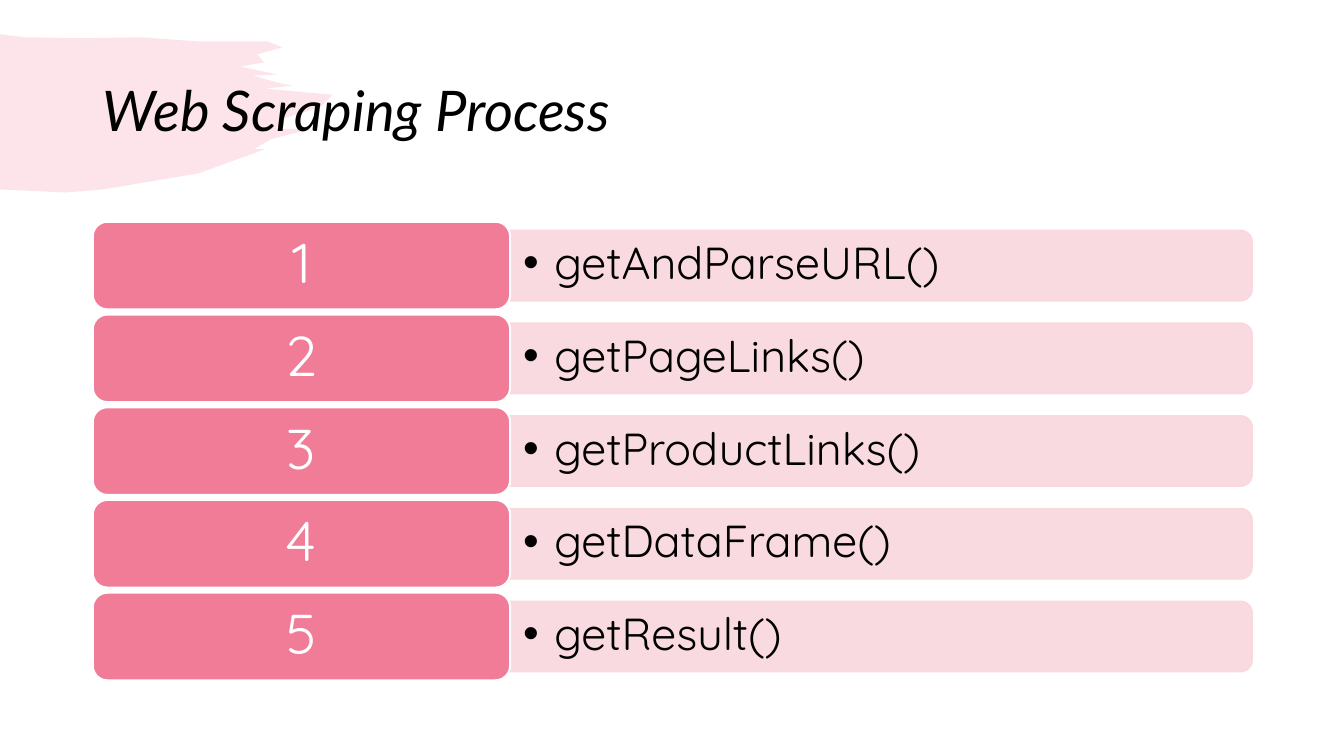
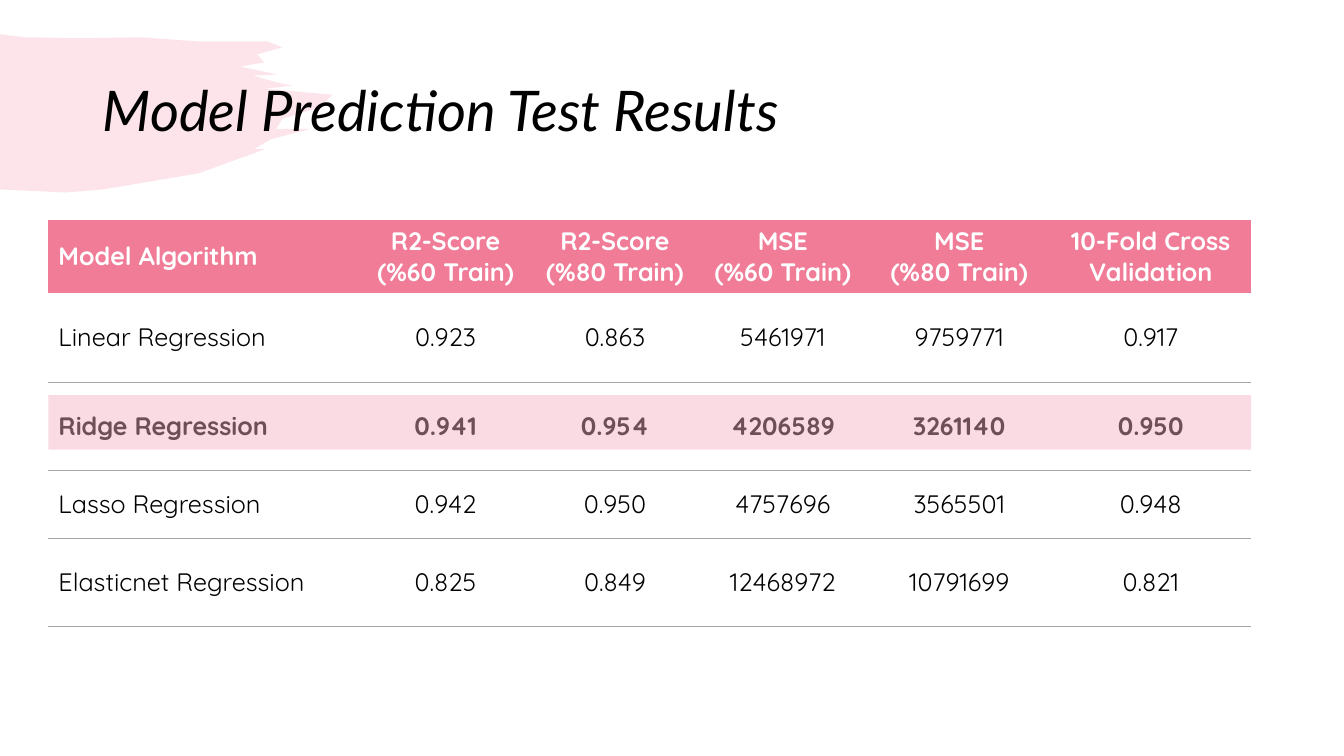
import pptx
import pptx.util
import pptx.dml.color
import pptx.enum.shapes
import pptx.enum.text
import pptx.oxml.ns
import lxml.etree

Inches, Pt = pptx.util.Inches, pptx.util.Pt
Color = pptx.dml.color.RGBColor
Shapes = pptx.enum.shapes.MSO_SHAPE
Align = pptx.enum.text.PP_ALIGN
Anchor = pptx.enum.text.MSO_ANCHOR
qn = pptx.oxml.ns.qn

# Content
STEPS_TITLE = "Web Scraping Process"
STEPS = ["getAndParseURL()", "getPageLinks()", "getProductLinks()",
         "getDataFrame()", "getResult()"]
RESULTS_TITLE = "Model Prediction Test Results"
RESULTS = [
    ("Model Algorithm", "R2-Score\n(%60 Train)", "R2-Score\n(%80 Train)",
     "MSE\n(%60 Train)", "MSE\n(%80 Train)", "10-Fold Cross Validation"),
    ("Linear Regression", "0.923", "0.863", "5461971", "9759771", "0.917"),
    ("Ridge Regression", "0.941", "0.954", "4206589", "3261140", "0.950"),
    ("Lasso Regression", "0.942", "0.950", "4757696", "3565501", "0.948"),
    ("Elasticnet Regression", "0.825", "0.849", "12468972", "10791699", "0.821"),
]
BEST_ROW = 2
COLUMN_WIDTHS = [3.08, 1.72, 1.64, 1.69, 1.81, 1.99]
ROW_HEIGHTS = [0.67, 0.88, 0.88, 0.67, 0.88]

# Shared look
BLACK, WHITE = Color(0, 0, 0), Color(255, 255, 255)
ROSE = Color(0xF0, 0x7C, 0x98)
BLUSH = Color(0xF9, 0xD7, 0xDD)
HIGHLIGHT = Color(0xF6, 0xB0, 0xC1)
GREY = Color(0xA6, 0xA6, 0xA6)
TITLE_FONT = {"name": "Lato", "size": Pt(40), "italic": True, "bold": False}
NUMBER_FONT = {"name": "Quicksand", "size": Pt(40)}
STEP_FONT = {"name": "Quicksand", "size": Pt(32)}
CELL_FONT = {"name": "Quicksand", "size": Pt(18)}

# Brush stroke outline: top edge, ragged right end, bottom edge
BRUSH = [
    (0, 0.34), (0.25, 0.37), (0.8, 0.38), (1.4, 0.37), (1.94, 0.41), (2.65, 0.41),
    (2.8, 0.47), (2.55, 0.54), (2.62, 0.62), (2.38, 0.66), (2.75, 0.74),
    (2.51, 0.75), (2.75, 0.82), (2.9, 0.85), (2.63, 0.88), (3.3, 0.94),
    (3.18, 1.06), (2.8, 1.18), (2.74, 1.28), (3.08, 1.28), (2.69, 1.38),
    (2.52, 1.48), (2.63, 1.48), (1.97, 1.72), (1.02, 1.88), (0.65, 1.91), (0, 1.88),
]


def style_shape(shape, fill, opacity=100, line=None, line_width=1):
    shape.shadow.inherit = False
    shape.fill.solid()
    shape.fill.fore_color.rgb = fill
    if line is None:
        shape.line.fill.background()
    else:
        shape.line.color.rgb = line
        shape.line.width = Pt(line_width)
    if opacity < 100:
        for color in shape.element.spPr.iter(qn("a:srgbClr")):
            alpha = lxml.etree.SubElement(color, qn("a:alpha"))
            alpha.set("val", str(opacity * 1000))


def write_text(frame, text, font, color, align=Align.LEFT, spacing=0.9, **extra):
    frame.text = text
    for para in frame.paragraphs:
        para.alignment = align
        para.line_spacing = spacing
        for span in para.runs:
            for name, value in {**font, **extra}.items():
                setattr(span.font, name, value)
            span.font.color.rgb = color


def set_frame(frame, side=0.1, top=0.05):
    values = {"word_wrap": True, "vertical_anchor": Anchor.MIDDLE,
              "auto_size": pptx.enum.text.MSO_AUTO_SIZE.NONE,
              "margin_left": Inches(side), "margin_right": Inches(side),
              "margin_top": Inches(top), "margin_bottom": Inches(top)}
    for name, value in values.items():
        setattr(frame, name, value)


def prepare_layout(layout, page):
    """Place the title and put the brush stroke behind it on the layout."""
    title = layout.placeholders[0]
    title.left, title.top = Inches(0.92), Inches(0.4)
    title.width, title.height = Inches(11.5), Inches(1.45)
    points = [(Inches(x), Inches(y)) for x, y in BRUSH]
    builder = page.shapes.build_freeform(*points[0])
    builder.add_line_segments(points[1:], close=True)
    brush = builder.convert_to_shape()
    style_shape(brush, ROSE, 20)
    title.element.addprevious(brush.element)


def set_title(page, text):
    frame = page.shapes.title.text_frame
    set_frame(frame)
    write_text(frame, text, TITLE_FONT, BLACK)


def add_bullet(para, indent):
    properties = para._p.get_or_add_pPr()
    properties.set("marL", str(indent))
    properties.set("indent", str(-indent))
    lxml.etree.SubElement(properties, qn("a:buFont")).set("typeface", "Arial")
    lxml.etree.SubElement(properties, qn("a:buChar")).set("char", "•")


def build_steps(page):
    set_title(page, STEPS_TITLE)
    left, top, pitch = 0.92, 2.2, 0.92
    tile_width, tile_height = 4.14, 0.87
    bar_width, bar_height = 7.36, 0.7
    bar_left = left + tile_width
    for index, step in enumerate(STEPS):
        tile_top = top + index * pitch
        middle = tile_top + tile_height / 2
        # Bar: a tall shape turned a quarter, so its round end faces right
        bar = page.shapes.add_shape(
            Shapes.ROUND_2_SAME_RECTANGLE,
            Inches(bar_left + (bar_width - bar_height) / 2),
            Inches(middle - bar_width / 2), Inches(bar_height), Inches(bar_width))
        bar.rotation = 90
        style_shape(bar, BLUSH, 90, BLUSH)
        # Function name
        label = page.shapes.add_textbox(Inches(bar_left), Inches(middle - 0.32),
                                        Inches(7.33), Inches(0.63))
        set_frame(label.text_frame, 0.13, 0.07)
        write_text(label.text_frame, step, STEP_FONT, BLACK)
        add_bullet(label.text_frame.paragraphs[0], Inches(0.31))
        # Number tile
        tile = page.shapes.add_shape(Shapes.ROUNDED_RECTANGLE, Inches(left),
                                     Inches(tile_top), Inches(tile_width),
                                     Inches(tile_height))
        style_shape(tile, ROSE, line=WHITE, line_width=1.5)
        set_frame(tile.text_frame, 0.17, 0.08)
        write_text(tile.text_frame, str(index + 1), NUMBER_FONT, WHITE, Align.CENTER)


def add_bottom_border(cell):
    border = lxml.etree.Element(qn("a:lnB"), w=str(Pt(0.25)))
    fill = lxml.etree.SubElement(border, qn("a:solidFill"))
    lxml.etree.SubElement(fill, qn("a:srgbClr")).set("val", str(GREY))
    cell._tc.get_or_add_tcPr().insert(0, border)


def build_results(page):
    set_title(page, RESULTS_TITLE)
    left, width = Inches(0.48), Inches(sum(COLUMN_WIDTHS))
    frame = page.shapes.add_table(len(RESULTS), len(COLUMN_WIDTHS), left,
                                  Inches(2.18), width, Inches(sum(ROW_HEIGHTS)))
    table = frame.table
    table.horz_banding = False
    # Style without fills or grid
    style = table._tbl.tblPr.find(qn("a:tableStyleId"))
    style.text = "{2D5ABB26-0587-4C30-8999-92F81FD0307C}"
    for column, size in zip(table.columns, COLUMN_WIDTHS):
        column.width = Inches(size)
    for row, size in zip(table.rows, ROW_HEIGHTS):
        row.height = Inches(size)
    for r, values in enumerate(RESULTS):
        for c, value in enumerate(values):
            cell = table.cell(r, c)
            cell.vertical_anchor = Anchor.MIDDLE
            write_text(cell.text_frame, value, CELL_FONT, BLACK if r else WHITE,
                       Align.CENTER if c else Align.LEFT, 1.0,
                       bold=r in (0, BEST_ROW))
            if r:
                cell.fill.background()
                add_bottom_border(cell)
            else:
                cell.fill.solid()
                cell.fill.fore_color.rgb = ROSE
    # Veil over the best model
    veil = page.shapes.add_shape(Shapes.RECTANGLE, left, Inches(3.92),
                                 width, Inches(0.54))
    style_shape(veil, HIGHLIGHT, 45)


def main():
    deck = pptx.Presentation()
    deck.slide_width, deck.slide_height = Inches(13.33), Inches(7.5)
    layout = deck.slide_layouts.get_by_name("Title Only")
    steps_page, results_page = [deck.slides.add_slide(layout) for _ in range(2)]
    prepare_layout(layout, steps_page)
    build_steps(steps_page)
    build_results(results_page)
    deck.save("out.pptx")


if __name__ == "__main__":
    main()
